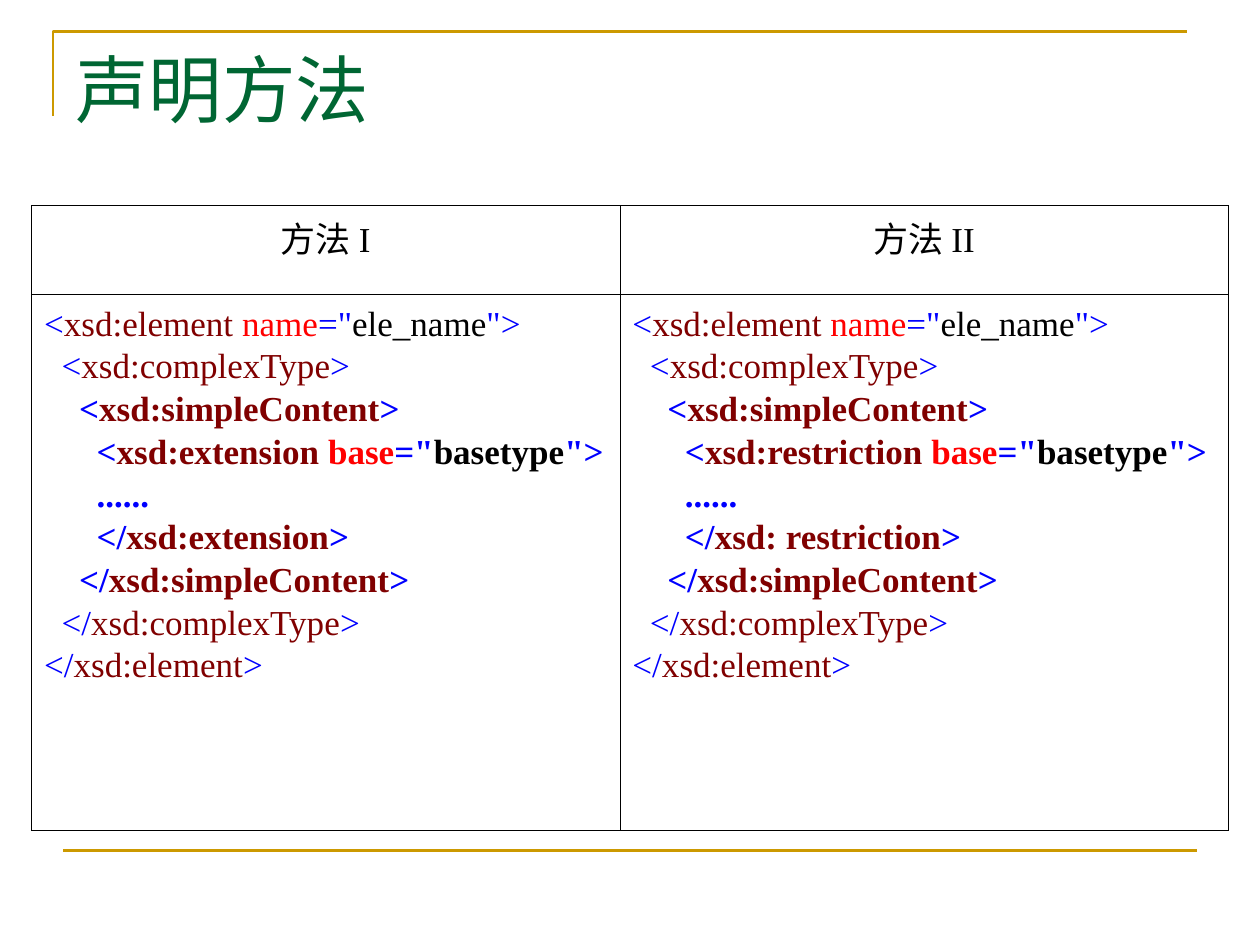
from lxml import etree
from pptx import Presentation, util as u
from pptx.dml.color import RGBColor
from pptx.enum import shapes, text
from pptx.oxml.ns import qn

GOLD, GREEN, BLACK = "CC9900", "006633", "000000"
BLUE, MAROON, RED = "0000FF", "800000", "FF0000"


def colour(value):
    return RGBColor.from_string(value)


def open_tag(name, attribute=None, value=None):
    """Coloured parts of an opening tag."""
    parts = [("<", BLUE), (name, MAROON)]
    if attribute is None:
        return parts + [(">", BLUE)]
    return parts + [(" " + attribute, RED), ('="', BLUE), (value, BLACK), ('">', BLUE)]


def close_tag(name):
    return [("</", BLUE), (name, MAROON), (">", BLUE)]


def declaration(kind, closing):
    """Lines of one declaration as (depth, bold, parts)."""
    return [
        (0, False, open_tag("xsd:element", "name", "ele_name")),
        (1, False, open_tag("xsd:complexType")),
        (2, True, open_tag("xsd:simpleContent")),
        (3, True, open_tag(kind, "base", "basetype")),
        (3, True, [("......", BLUE)]),
        (3, True, close_tag(closing)),
        (2, True, close_tag("xsd:simpleContent")),
        (1, False, close_tag("xsd:complexType")),
        (0, False, close_tag("xsd:element")),
    ]


class SlideBuilder:
    font = "Times New Roman"
    rule_width = u.Pt(1.5)
    border_width = u.Pt(0.45)
    hanging = u.Inches(0.38)

    def __init__(self, page):
        self.page = page

    def style(self, font, size, value, bold=False):
        font.name, font.size, font.bold = self.font, u.Pt(size), bold
        font.color.rgb = colour(value)

    def stroke(self, line):
        line.color.rgb = colour(GOLD)
        line.width = self.rule_width

    def outline(self, points):
        corners = [(u.Inches(x), u.Inches(y)) for x, y in points]
        builder = self.page.shapes.build_freeform(*corners[0])
        builder.add_line_segments(corners[1:], close=False)
        shape = builder.convert_to_shape()
        shape.shadow.inherit = False
        shape.fill.background()
        self.stroke(shape.line)

    def rule(self, left, right, y):
        line = self.page.shapes.add_connector(
            shapes.MSO_CONNECTOR.STRAIGHT,
            u.Inches(left), u.Inches(y), u.Inches(right), u.Inches(y))
        self.stroke(line.line)
        etree.SubElement(line._element.spPr, qn("a:effectLst"))

    def title(self, words, left, top, width, height):
        box = self.page.shapes.add_textbox(*map(u.Inches, (left, top, width, height)))
        frame = box.text_frame
        frame.word_wrap = True
        frame.vertical_anchor = text.MSO_ANCHOR.TOP
        frame.text = words
        self.style(frame.paragraphs[0].runs[0].font, 42, GREEN)

    def table(self, left, top, columns, rows):
        frame = self.page.shapes.add_table(
            len(rows), len(columns), u.Inches(left), u.Inches(top),
            u.Inches(sum(columns)), u.Inches(sum(rows)))
        table = frame.table
        table.first_row = table.horz_banding = False
        for column, width in zip(table.columns, columns):
            column.width = u.Inches(width)
        for row, height in zip(table.rows, rows):
            row.height = u.Inches(height)
        for cell in table.iter_cells():
            cell.fill.background()
            self.borders(cell)
        return table

    def borders(self, cell):
        properties = cell._tc.get_or_add_tcPr()
        for index, side in enumerate(("lnL", "lnR", "lnT", "lnB")):
            line = etree.Element(qn("a:" + side), w=str(self.border_width))
            fill = etree.SubElement(line, qn("a:solidFill"))
            etree.SubElement(fill, qn("a:srgbClr"), val=BLACK)
            properties.insert(index, line)

    def hang(self, para):
        properties = para._p.get_or_add_pPr()
        properties.set("marL", str(self.hanging))
        properties.set("indent", str(-self.hanging))

    def heading(self, cell, words):
        cell.text_frame.text = words
        para = cell.text_frame.paragraphs[0]
        self.hang(para)
        para.alignment = text.PP_ALIGN.CENTER
        self.style(para.runs[0].font, 20, BLACK)

    def code(self, cell, lines):
        frame = cell.text_frame
        for number, (depth, bold, parts) in enumerate(lines):
            para = frame.add_paragraph() if number else frame.paragraphs[0]
            self.hang(para)
            para.line_spacing = 1.1
            (first, value), *rest = parts
            for words, shade in [("  " * depth + first, value), *rest]:
                span = para.add_run()
                span.text = words
                self.style(span.font, 20, shade, bold)


def main():
    deck = Presentation()
    deck.slide_width, deck.slide_height = u.Inches(10), u.Inches(7.5)
    slide = SlideBuilder(deck.slides.add_slide(deck.slide_layouts[6]))

    # Frame lines
    slide.outline([(0.42, 0.92), (0.42, 0.25), (9.42, 0.25)])
    slide.rule(0.5, 9.5, 6.75)

    # Title
    slide.title("声明方法", 0.5, 0.3, 9, 1.25)

    # Comparison of the two methods
    table = slide.table(0.25, 1.63, columns=(4.67, 4.83), rows=(0.71, 4.25))
    methods = [
        ("方法 I", "xsd:extension", "xsd:extension"),
        ("方法 II", "xsd:restriction", "xsd: restriction"),
    ]
    for column, (name, kind, closing) in enumerate(methods):
        slide.heading(table.cell(0, column), name)
        slide.code(table.cell(1, column), declaration(kind, closing))

    deck.save("out.pptx")


if __name__ == "__main__":
    main()
